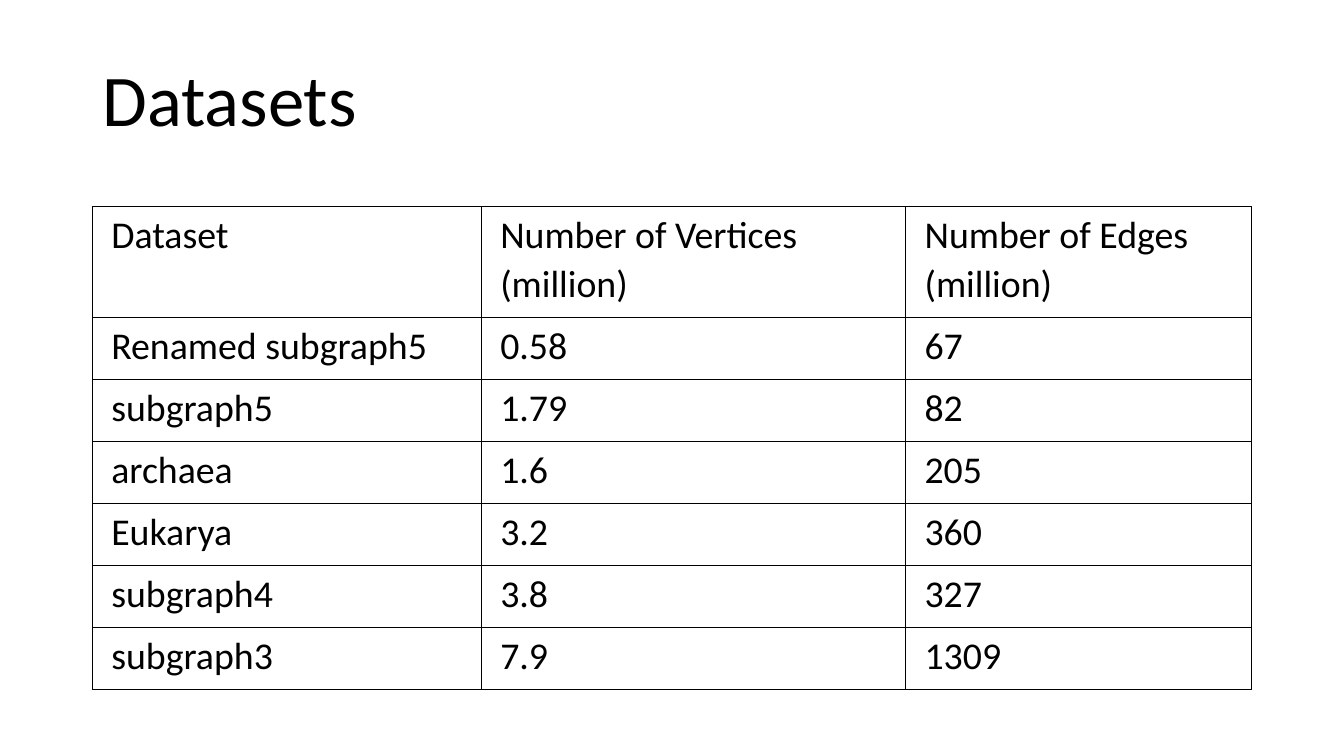
from pptx import Presentation
from pptx.dml.color import RGBColor as Rgb
from pptx.enum.text import MSO_ANCHOR as Anchor, PP_ALIGN as Align
from pptx.oxml import parse_xml
from pptx.oxml.ns import nsdecls
from pptx.util import Pt

FONT = "Calibri"
HUES = {"ink": "000000", "page": "FFFFFF"}
WIDTHS = (277.9, 303.1, 247)
HEAD, ROW = 79.2, 44.3
DATA = (
    ("Dataset", "Number of Vertices (million)", "Number of Edges (million)"),
    ("Renamed subgraph5", "0.58", "67"),
    ("subgraph5", "1.79", "82"),
    ("archaea", "1.6", "205"),
    ("Eukarya", "3.2", "360"),
    ("subgraph4", "3.8", "327"),
    ("subgraph3", "7.9", "1309"),
)


def write(frame, text, size, space):
    para = frame.paragraphs[0]
    para.alignment = Align.LEFT
    para.line_spacing = space
    run = para.add_run()
    run.text = text
    font = run.font
    font.name, font.size, font.bold = FONT, Pt(size), False
    font.color.rgb = Rgb.from_string(HUES["ink"])


def border(cell):
    props = cell._tc.get_or_add_tcPr()
    for side in "LRTB":
        props.append(parse_xml(
            f'<a:ln{side} {nsdecls("a")} w="{Pt(1)}"><a:solidFill>'
            f'<a:srgbClr val="{HUES["ink"]}"/></a:solidFill></a:ln{side}>'
        ))


def title(slide, left, top, width, height):
    shape = slide.shapes.title
    shape.left, shape.top = Pt(left), Pt(top)
    shape.width, shape.height = Pt(width), Pt(height)
    shape.text_frame.vertical_anchor = Anchor.MIDDLE
    write(shape.text_frame, "Datasets", 52, 0.9)


def grid(slide, left, top, width, height):
    table = slide.shapes.add_table(
        len(DATA), len(WIDTHS), Pt(left), Pt(top), Pt(width), Pt(height)
    ).table
    table.first_row = table.horz_banding = False
    for col, size in zip(table.columns, WIDTHS):
        col.width = Pt(size)
    for i, (row, texts) in enumerate(zip(table.rows, DATA)):
        row.height = Pt(ROW if i else HEAD)
        for cell, text in zip(row.cells, texts):
            cell.margin_left = cell.margin_right = Pt(13.5)
            cell.margin_top, cell.margin_bottom = Pt(2), Pt(0)
            cell.vertical_anchor = Anchor.TOP
            border(cell)
            cell.fill.solid()
            cell.fill.fore_color.rgb = Rgb.from_string(HUES["page"])
            write(cell.text_frame, text, 27, 1.07)


def main():
    deck = Presentation()
    deck.slide_width, deck.slide_height = Pt(960), Pt(540)
    slide = deck.slides.add_slide(deck.slide_layouts[5])
    title(slide, 66, 14.4, 828, 118.8)
    grid(slide, 66, 147.6, sum(WIDTHS), HEAD + ROW * (len(DATA) - 1))
    deck.save("out.pptx")


if __name__ == "__main__":
    main()
